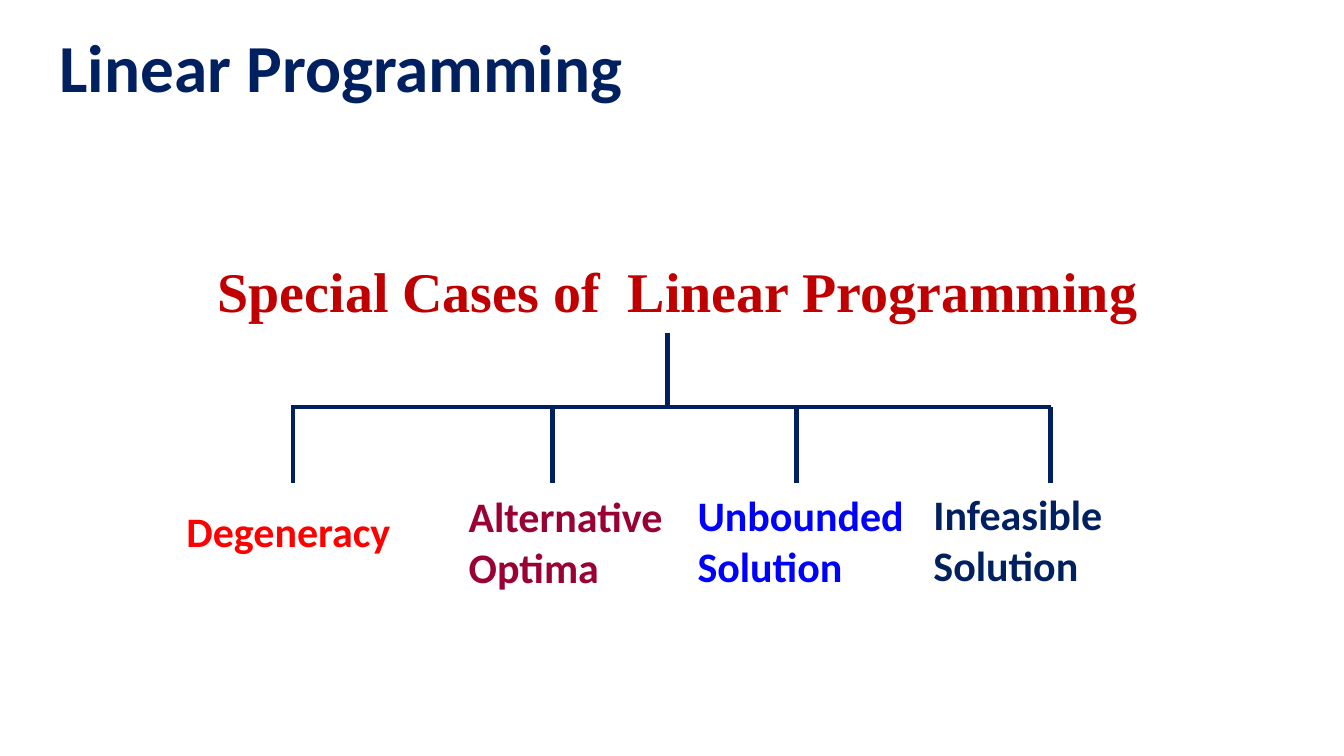
"""Build a slide that shows the special cases of linear programming as a tree."""
import pptx
import pptx.dml.color
import pptx.enum.shapes
import pptx.enum.text
import pptx.oxml.ns
import pptx.util
from lxml import etree

Inches = pptx.util.Inches
Pt = pptx.util.Pt
COLORS = {
    "navy": "002060",
    "crimson": "C00000",
    "red": "FF0000",
    "maroon": "990033",
    "blue": "0000FF",
}


def place(shape, left, top, width, height):
    """Move and size a shape, in inches."""
    shape.left, shape.top = Inches(left), Inches(top)
    shape.width, shape.height = Inches(width), Inches(height)


def add_span(para, text, size, font, color):
    """Add one bold run to a paragraph."""
    span = para.add_run()
    span.text = text
    span.font.size = Pt(size)
    span.font.name = font
    span.font.bold = True
    span.font.color.rgb = pptx.dml.color.RGBColor.from_string(COLORS[color])


deck = pptx.Presentation()
deck.slide_width, deck.slide_height = Inches(13.33), Inches(7.5)
page = deck.slides.add_slide(deck.slide_layouts[1])

title = page.shapes.title
place(title, 0.49, -0.02, 12.57, 1.45)
title.text_frame.auto_size = pptx.enum.text.MSO_AUTO_SIZE.NONE
title.text_frame.vertical_anchor = pptx.enum.text.MSO_ANCHOR.MIDDLE
para = title.text_frame.paragraphs[0]
para.alignment = pptx.enum.text.PP_ALIGN.LEFT
para.line_spacing = 0.9
add_span(para, "Linear Programming", 48, "Calibri", "navy")

body = page.placeholders[1]
place(body, 0.49, 2, 12.32, 4.76)
body.text_frame.auto_size = pptx.enum.text.MSO_AUTO_SIZE.NONE
body.text_frame.margin_top = Inches(0.62)
para = body.text_frame.paragraphs[0]
para.alignment = pptx.enum.text.PP_ALIGN.CENTER
para.line_spacing = 0.9
para.space_before = Pt(0)
properties = para._p.get_or_add_pPr()
properties.set("marL", "0")
properties.set("indent", "0")
etree.SubElement(properties, pptx.oxml.ns.qn("a:buNone"))
add_span(para, " Special Cases of  Linear Programming", 40, "Times New Roman", "crimson")

bar_y, drop = 4.04, 0.75
branches = [2.91, 5.48, 7.9, 10.42]
tree_lines = [(2.89, bar_y, 10.42, bar_y), (6.62, 3.3, 6.62, bar_y)]
tree_lines += [(x, bar_y, x, bar_y + drop) for x in branches]
tree = page.shapes.add_group_shape()
for ends in tree_lines:
    line = tree.shapes.add_connector(
        pptx.enum.shapes.MSO_CONNECTOR.STRAIGHT, *[Inches(value) for value in ends]
    )
    line.line.width = Pt(3)
    line.line.color.rgb = pptx.dml.color.RGBColor.from_string(COLORS["navy"])
    etree.SubElement(line._element.spPr, pptx.oxml.ns.qn("a:effectLst"))

cases = [
    ("Degeneracy", 1.75, 4.97, 0.61, "red"),
    ("Alternative Optima", 4.55, 4.82, 1.11, "maroon"),
    ("Unbounded Solution", 6.82, 4.81, 1.11, "blue"),
    ("Infeasible Solution", 9.16, 4.8, 1.11, "navy"),
]
for text, left, top, height, color in cases:
    box = page.shapes.add_textbox(Inches(left), Inches(top), Inches(2.35), Inches(height))
    box.text_frame.word_wrap = True
    box.text_frame.auto_size = pptx.enum.text.MSO_AUTO_SIZE.SHAPE_TO_FIT_TEXT
    add_span(box.text_frame.paragraphs[0], text, 30, "Calibri", color)

deck.save("out.pptx")
